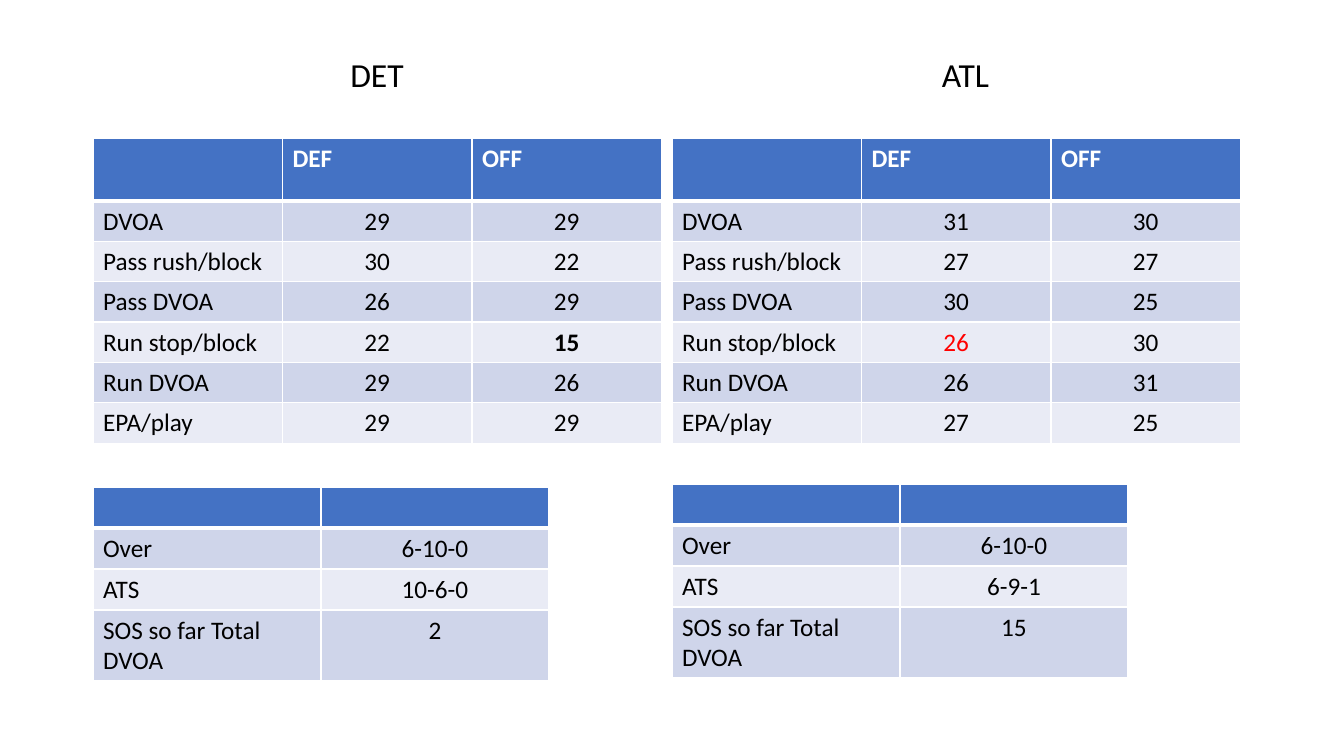
import pptx
import pptx.util
import pptx.dml.color
import pptx.enum.text
import pptx.oxml.ns
from lxml import etree

# Content: each team has a heading, unit rankings and season records
RANK_HEADER = ("", "DEF", "OFF")
RANK_LABELS = ("DVOA", "Pass rush/block", "Pass DVOA",
               "Run stop/block", "Run DVOA", "EPA/play")
RECORD_HEADER = ("", "")
RECORD_LABELS = ("Over", "ATS", "SOS so far Total DVOA")

# Marks change the format of the cell at (row, column)
TEAMS = [
    {"name": "DET", "left": 93, "name_width": 568, "name_left": 93, "records_top": 487,
     "ranks": [(29, 29), (30, 22), (26, 29), (22, 15), (29, 26), (29, 29)],
     "records": [("6-10-0",), ("10-6-0",), (2,)],
     "marks": {(4, 2): {"bold": True}}},
    {"name": "ATL", "left": 672, "name_width": 571, "name_left": 680, "records_top": 484,
     "ranks": [(31, 30), (27, 27), (30, 25), (26, 30), (26, 31), (27, 25)],
     "records": [("6-10-0",), ("6-9-1",), (15,)],
     "marks": {(4, 1): {"color": "FF0000"}}},
]

THEME = {
    "font": "Calibri", "heading_size": 24, "cell_size": 18,
    "text": "000000", "header_text": "FFFFFF", "header_fill": "4472C4",
    "bands": ("CFD5EA", "E9EBF5"), "border": "FFFFFF",
    "border_width": 1, "header_rule": 3,
}

# Layout in pixels
EMU_PER_PX = 914400 / 100.8
SLIDE_SIZE = (1344, 756)
NAME_TOP, NAME_HEIGHT = 9, 91
RANKS_TOP = 138
RANK_COLUMN, RECORD_COLUMN = 189.5, 228
RANK_HEADER_HEIGHT, RANK_ROW_HEIGHT, RECORD_ROW_HEIGHT = 63, 40, 41

ALIGN = pptx.enum.text.PP_ALIGN
ANCHOR = pptx.enum.text.MSO_ANCHOR


def px(length):
    return pptx.util.Emu(round(length * EMU_PER_PX))


def rgb(color):
    return pptx.dml.color.RGBColor.from_string(color)


def write(paragraph, text, size, color, bold=False, align=ALIGN.LEFT):
    paragraph.alignment = align
    run = paragraph.add_run()
    run.text = str(text)
    font_format = {"name": THEME["font"], "size": pptx.util.Pt(size), "bold": bold}
    for attribute, value in font_format.items():
        setattr(run.font, attribute, value)
    run.font.color.rgb = rgb(color)


def add_borders(cell, bottom_width):
    """Borders must come before the fill in the cell properties."""
    properties = cell._tc.get_or_add_tcPr()
    qn = pptx.oxml.ns.qn
    width = THEME["border_width"]
    sides = {"a:lnL": width, "a:lnR": width, "a:lnT": width, "a:lnB": bottom_width}
    for position, (side, points) in enumerate(sides.items()):
        line = etree.Element(qn(side), w=str(pptx.util.Pt(points)))
        solid = etree.SubElement(line, qn("a:solidFill"))
        etree.SubElement(solid, qn("a:srgbClr"), val=THEME["border"])
        properties.insert(position, line)


def add_heading(slide, team):
    box = slide.shapes.add_textbox(px(team["name_left"]), px(NAME_TOP),
                                   px(team["name_width"]), px(NAME_HEIGHT))
    frame_format = {"word_wrap": True, "vertical_anchor": ANCHOR.BOTTOM}
    for attribute, value in frame_format.items():
        setattr(box.text_frame, attribute, value)
    paragraph = box.text_frame.paragraphs[0]
    paragraph.line_spacing = 0.9
    paragraph.space_before = pptx.util.Pt(10)
    write(paragraph, team["name"], THEME["heading_size"], THEME["text"], align=ALIGN.CENTER)


def add_stats(slide, rows, left, top, column_width, row_heights, marks):
    columns = len(rows[0])
    table = slide.shapes.add_table(len(rows), columns, px(left), px(top),
                                   px(column_width * columns), px(sum(row_heights))).table
    for column in table.columns:
        column.width = px(column_width)
    for r, values in enumerate(rows):
        table.rows[r].height = px(row_heights[r])
        header = r == 0
        for c, value in enumerate(values):
            cell = table.cell(r, c)
            cell.fill.solid()
            cell.fill.fore_color.rgb = rgb(
                THEME["header_fill"] if header else THEME["bands"][(r - 1) % 2])
            add_borders(cell, THEME["header_rule" if header else "border_width"])
            if value == "":
                continue
            style = {"color": THEME["header_text" if header else "text"], "bold": header,
                     "align": ALIGN.LEFT if header or c == 0 else ALIGN.CENTER}
            style.update(marks.get((r, c), {}))
            write(cell.text_frame.paragraphs[0], value, THEME["cell_size"], **style)


def label_rows(header, labels, values):
    return [header] + [(label, *row) for label, row in zip(labels, values)]


# Build the slide
deck = pptx.Presentation()
deck.slide_width, deck.slide_height = map(px, SLIDE_SIZE)
slide = deck.slides.add_slide(deck.slide_layouts[6])

for team in TEAMS:
    add_heading(slide, team)
    ranks = label_rows(RANK_HEADER, RANK_LABELS, team["ranks"])
    add_stats(slide, ranks, team["left"], RANKS_TOP, RANK_COLUMN,
              [RANK_HEADER_HEIGHT] + [RANK_ROW_HEIGHT] * len(RANK_LABELS), team["marks"])
    records = label_rows(RECORD_HEADER, RECORD_LABELS, team["records"])
    add_stats(slide, records, team["left"], team["records_top"], RECORD_COLUMN,
              [RECORD_ROW_HEIGHT] * len(records), {})

deck.save("out.pptx")
